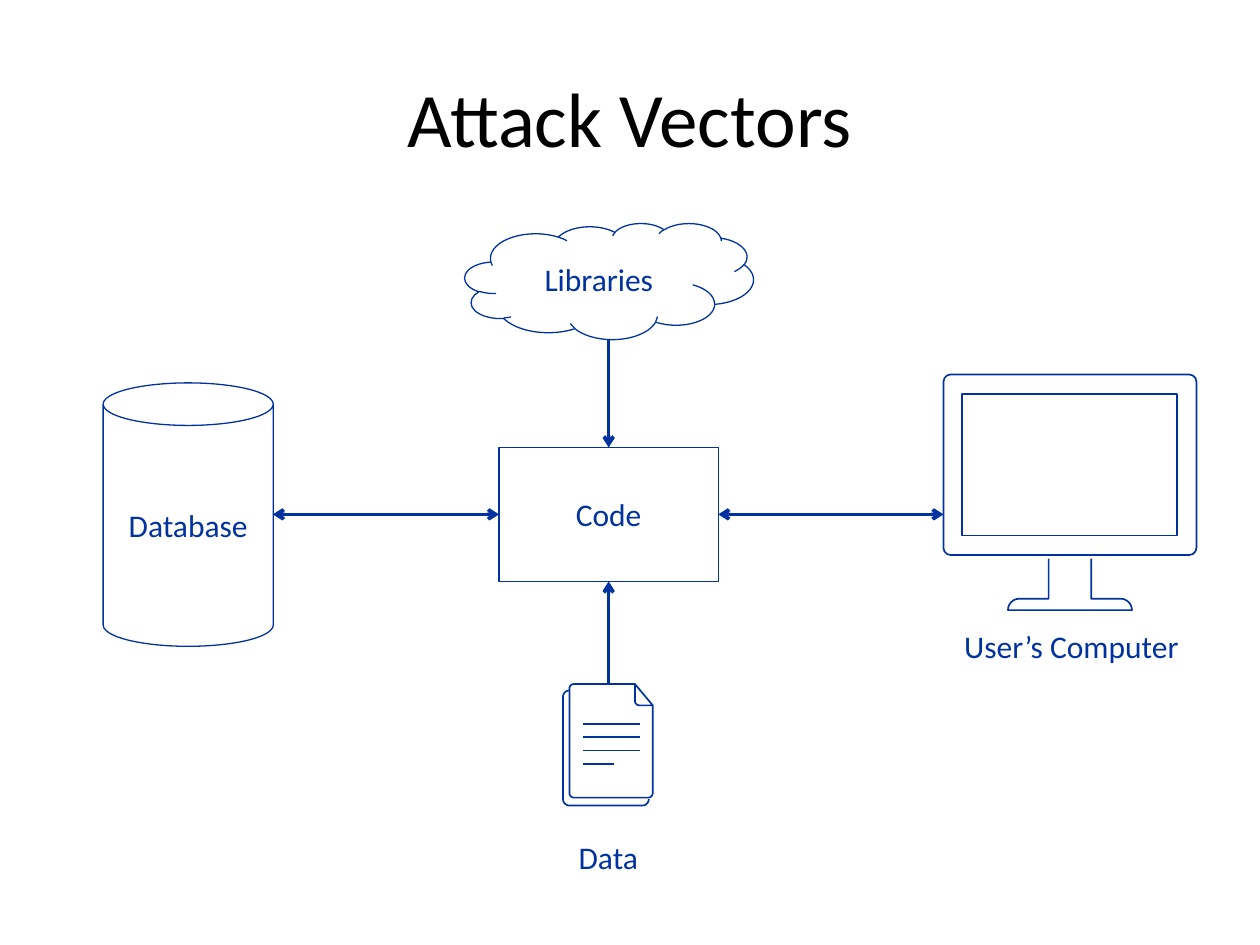
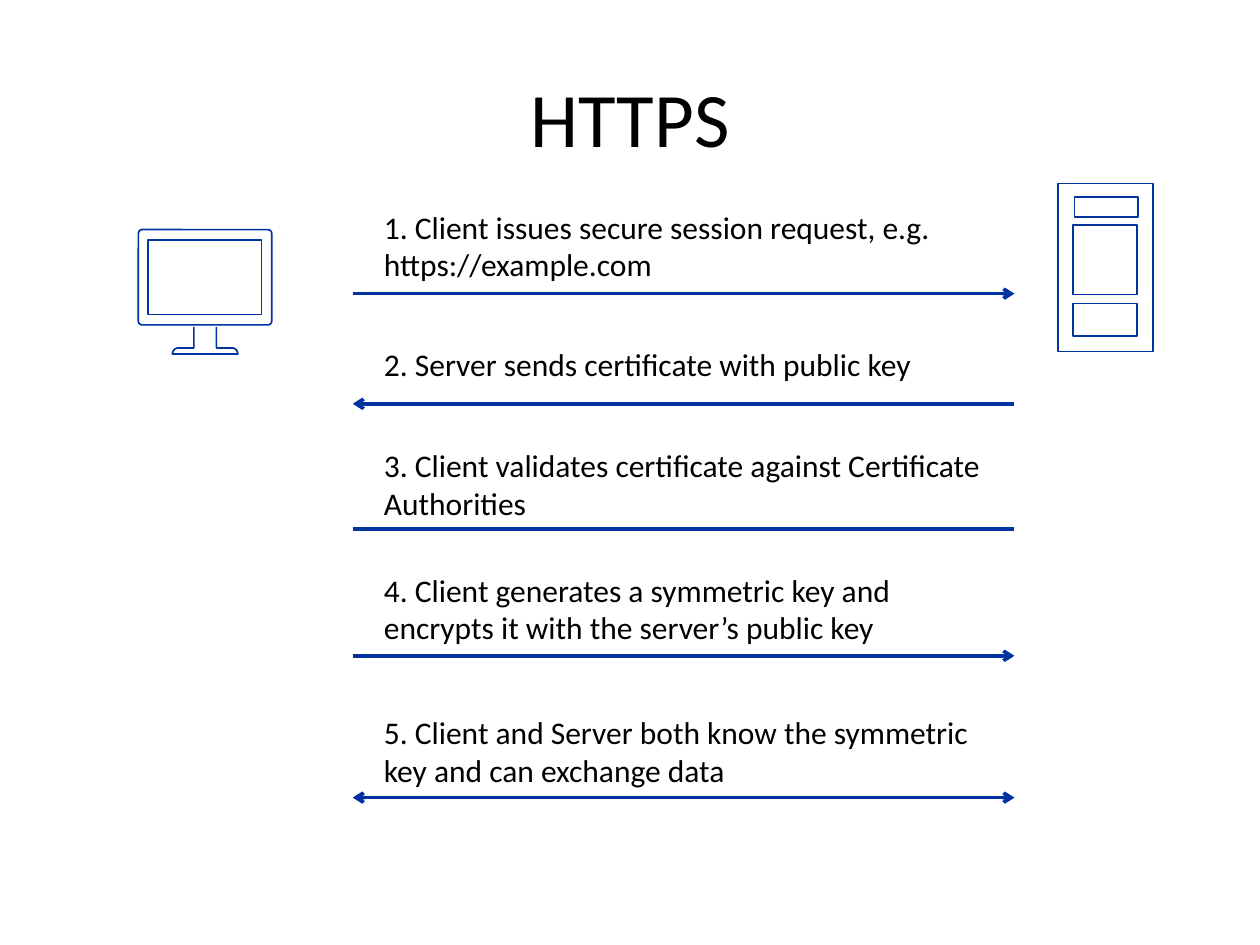
import math

from lxml import etree
from pptx import Presentation
from pptx import util as u
from pptx.dml.color import RGBColor
from pptx.enum import shapes, text
from pptx.oxml.ns import qn

HUES = {"ink": "0033A0", "text": "000000", "paper": "FFFFFF"}
TITLE = {"name": "Calibri", "size": u.Pt(44)}
BODY = {"name": "Calibri", "size": u.Pt(18)}
FRAME = {"word_wrap": True, "vertical_anchor": text.MSO_ANCHOR.MIDDLE}
LABEL = {"word_wrap": False, "auto_size": text.MSO_AUTO_SIZE.SHAPE_TO_FIT_TEXT}
NOTE = {**LABEL, "word_wrap": True}
LEFT, MID = text.PP_ALIGN.LEFT, text.PP_ALIGN.CENTER
KIND = shapes.MSO_SHAPE


# Shared formatting
def hue(name):
    return RGBColor.from_string(HUES[name])


def apply(target, values):
    for key, value in values.items():
        setattr(target, key, value)


def write(shape, words, color="ink", font=BODY, frame=FRAME, align=MID):
    box = shape.text_frame
    box.text = words
    apply(box, frame)
    for para in box.paragraphs:
        para.alignment = align
        for run in para.runs:
            apply(run.font, font)
            run.font.color.rgb = hue(color)


def style(shape, fill=None, width=0.96):
    shape.shadow.inherit = False
    if fill:
        shape.fill.solid()
        shape.fill.fore_color.rgb = hue(fill)
    else:
        shape.fill.background()
    shape.line.color.rgb = hue("ink")
    shape.line.width = u.Pt(width)


# Basic elements, all measured in centimetres
def start(deck, title):
    slide = deck.slides.add_slide(deck.slide_layouts[5])
    head = slide.shapes.title
    place = {"left": 1.27, "top": 0.76, "width": 22.86, "height": 3.18}
    apply(head, {key: u.Cm(value) for key, value in place.items()})
    write(head, title, "text", TITLE)
    return slide


def block(slide, kind, area, words="", fill=None, width=0.75):
    shape = slide.shapes.add_shape(kind, *map(u.Cm, area))
    style(shape, fill, width)
    if words:
        write(shape, words)
    return shape


def label(slide, area, words, color="ink", frame=LABEL, align=MID):
    box = slide.shapes.add_textbox(*map(u.Cm, area))
    write(box, words, color, frame=frame, align=align)


def link(slide, ends, heads="", width=2):
    line = slide.shapes.add_connector(shapes.MSO_CONNECTOR.STRAIGHT, *map(u.Cm, ends))
    line.line.color.rgb = hue("ink")
    line.line.width = u.Pt(width)
    props = line._element.spPr
    stroke = props.find(qn("a:ln"))
    for mark, tag in (("<", "a:headEnd"), (">", "a:tailEnd")):
        if mark in heads:
            etree.SubElement(stroke, qn(tag), type="arrow")
    etree.SubElement(props, qn("a:effectLst"))


def outline(slide, points, close=False):
    spots = [(u.Cm(x), u.Cm(y)) for x, y in points]
    pen = slide.shapes.build_freeform(*spots[0])
    pen.add_line_segments(spots[1:], close=close)
    style(pen.convert_to_shape())


def curve(x, y, size, first, turn=90):
    """Points of a rounded corner about (x, y), from angle first."""
    angles = [math.radians(first + turn * i / 6) for i in range(7)]
    return [(x + size * math.cos(a), y + size * math.sin(a)) for a in angles]


# Icons
def screen(slide, left, top, width):
    scale = width / 5.1
    case = block(slide, KIND.ROUNDED_RECTANGLE,
                 (left, top, width, 3.64 * scale), width=0.96)
    case.adjustments[0] = 0.04
    block(slide, KIND.RECTANGLE,
          (left + 0.38 * scale, top + 0.4 * scale, 4.33 * scale, 2.85 * scale),
          width=0.96)
    half = [(-0.43, 3.71), (-0.43, 4.52)] + curve(-1.02, 4.75, 0.23, 270, -90)
    stand = half + [(-x, y) for x, y in reversed(half)]
    outline(slide, [(left + (2.55 + x) * scale, top + y * scale) for x, y in stand])


def papers(slide):
    # Back sheet, then front sheet
    outline(slide, curve(12.95, 16.11, 0.13, 0) + curve(11.48, 16.11, 0.13, 90)
            + curve(11.48, 14.05, 0.13, 180))
    outline(slide, [(13.16, 14.22)] + curve(13.07, 15.99, 0.09, 0)
            + curve(11.57, 15.99, 0.09, 90) + curve(11.57, 13.88, 0.09, 180)
            + [(12.8, 13.79)])
    # Text lines and folded corner
    for row, end in enumerate((12.9, 12.9, 12.9, 12.37)):
        y = 14.59 + 0.27 * row
        link(slide, (11.76, y, end, y), width=0.96)
    outline(slide, [(12.8, 13.79), (13.16, 14.22)] + curve(12.89, 14.13, 0.09, 90),
            close=True)


def server(slide):
    for area in ((21.33, 3.7, 1.92, 3.39), (21.63, 4.54, 1.29, 1.4),
                 (21.63, 6.12, 1.29, 0.66), (21.66, 3.97, 1.28, 0.41)):
        block(slide, KIND.RECTANGLE, area, fill="paper", width=1)


# Slides
def vectors(deck):
    slide = start(deck, "Attack Vectors")
    screen(slide, 19.02, 7.55, 5.1)
    papers(slide)
    block(slide, KIND.CAN, (2.08, 7.72, 3.43, 5.31), "Database")
    block(slide, KIND.CLOUD, (9.37, 4.5, 5.82, 2.34), "Libraries", "paper")
    block(slide, KIND.RECTANGLE, (10.06, 9.02, 4.42, 2.7), "Code", "paper")
    label(slide, (19.15, 12.52, 4.9, 1.02), "User’s Computer")
    label(slide, (11.4, 16.76, 1.73, 1.02), "Data")
    x, y = 12.27, 10.37
    for ends, heads in (((x, 6.83, x, 9.02), ">"), ((5.5, y, 10.06, y), "<>"),
                        ((14.48, y, 19.02, y), "<>"), ((x, 13.79, x, 11.72), ">")):
        link(slide, ends, heads)


def https(deck):
    slide = start(deck, "HTTPS")
    screen(slide, 2.79, 4.63, 2.69)
    server(slide)
    steps = (
        ("1. Client issues secure session request, e.g.\nhttps://example.com",
         4.06, 5.92, ">"),
        ("2. Server sends certificate with public key", 6.84, 8.14, "<"),
        ("3. Client validates certificate against Certificate Authorities",
         8.87, 10.66, ""),
        ("4. Client generates a symmetric key and encrypts it with the "
         "server’s public key", 11.38, 13.22, ">"),
        ("5. Client and Server both know the symmetric key and can exchange data",
         14.25, 16.08, "<>"),
    )
    for words, top, y, heads in steps:
        link(slide, (7.11, y, 20.45, y), heads)
        height = 1.02 if words.startswith("2.") else 1.8
        label(slide, (7.49, top, 12.7, height), words, "text", NOTE, LEFT)


def main():
    deck = Presentation()
    deck.slide_width, deck.slide_height = u.Cm(25.4), u.Cm(19.05)
    vectors(deck)
    https(deck)
    deck.save("out.pptx")


if __name__ == "__main__":
    main()
